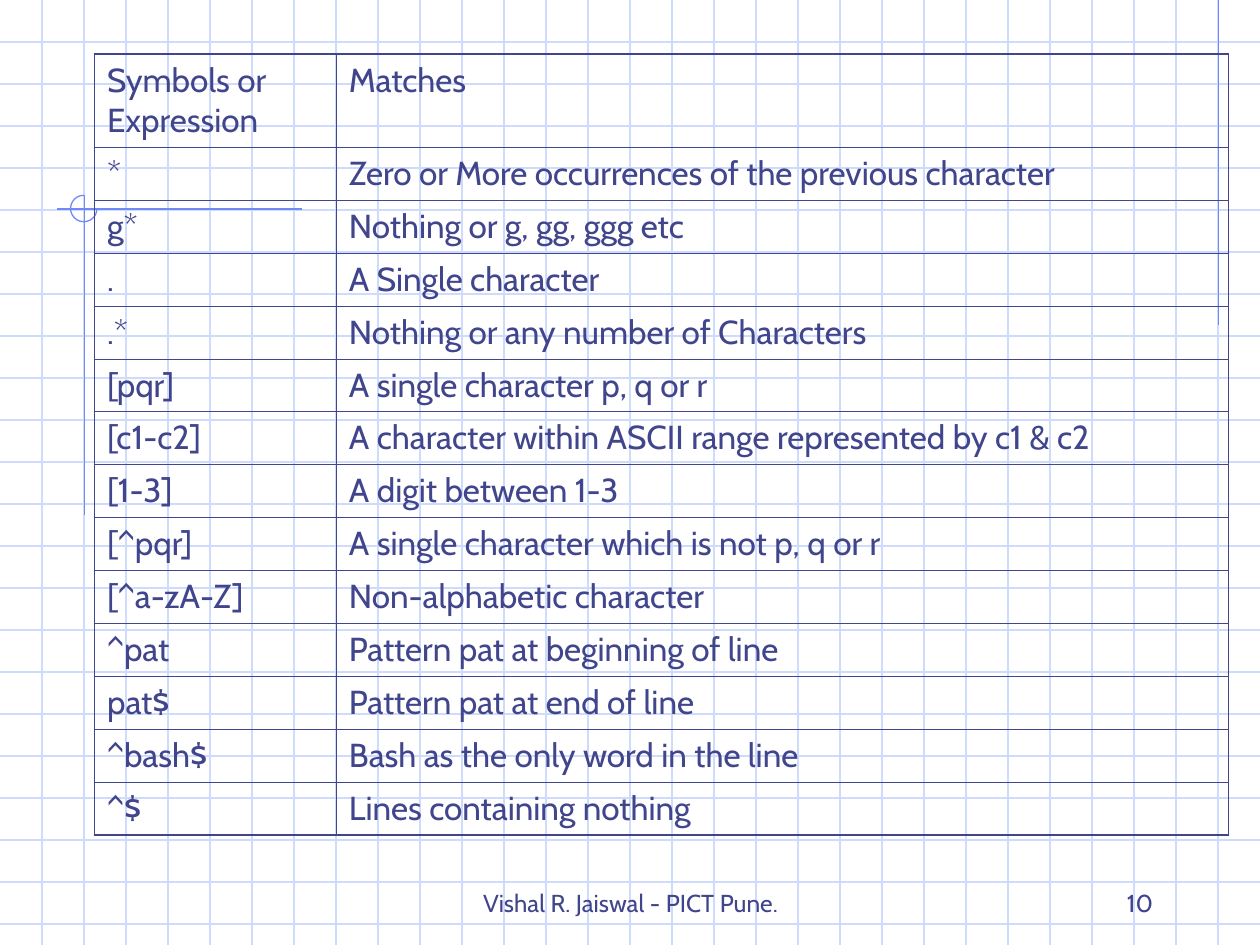
from dataclasses import dataclass

from lxml import etree
from pptx import Presentation
from pptx.dml.color import RGBColor
from pptx.enum.shapes import MSO_CONNECTOR, MSO_SHAPE
from pptx.enum.text import MSO_ANCHOR, PP_ALIGN
from pptx.oxml.ns import qn
from pptx.util import Inches, Pt

STRAIGHT = MSO_CONNECTOR.STRAIGHT
ARC = MSO_SHAPE.ARC
BOTTOM = MSO_ANCHOR.BOTTOM
CENTER, RIGHT = PP_ALIGN.CENTER, PP_ALIGN.RIGHT


@dataclass(frozen=True)
class Theme:
    """Colours, font, type sizes and line widths of the slide."""
    ink: str = "40458C"
    grid: str = "CFDBFD"
    accent: str = "6F89F7"
    font: str = "Cabin"
    table_size: float = 19
    footer_size: float = 14
    space_before: float = 4.8
    rule: float = 0.75
    outer_border: float = 1.08
    inner_border: float = 0.45


THEME = Theme()
WIDTH, HEIGHT = 10, 7.5
GRID_STEPS_PER_INCH = 3
COLUMN_WIDTHS = (1.92, 7.08)
HEADER_HEIGHT, ROW_HEIGHT = 0.74, 0.42
PATTERNS = [
    ("Symbols or Expression", "Matches"),
    ("*", "Zero or More occurrences of the previous character"),
    ("g*", "Nothing or g, gg, ggg etc"),
    (".", "A Single character"),
    (".*", "Nothing or any number of Characters"),
    ("[pqr]", "A single character p, q or r"),
    ("[c1-c2]", "A character within ASCII range represented by c1 & c2"),
    ("[1-3]", "A digit between 1-3"),
    ("[^pqr]", "A single character which is not p, q or r"),
    ("[^a-zA-Z]", "Non-alphabetic character"),
    ("^pat", "Pattern pat at beginning of line"),
    ("pat$", "Pattern pat at end of line"),
    ("^bash$", "Bash as the only word in the line"),
    ("^$", "Lines containing nothing"),
]


def add_rule(slide, x1, y1, x2, y2, color):
    """Draw a thin straight line without a shadow."""
    rule = slide.shapes.add_connector(
        STRAIGHT, Inches(x1), Inches(y1), Inches(x2), Inches(y2))
    rule.line.color.rgb = RGBColor.from_string(color)
    rule.line.width = Pt(THEME.rule)
    etree.SubElement(rule._element.spPr, qn("a:effectLst"))


def add_graph_paper(slide):
    """Cover the slide with evenly spaced grid lines."""
    for step in range(1, int(HEIGHT * GRID_STEPS_PER_INCH) + 1):
        y = step / GRID_STEPS_PER_INCH
        add_rule(slide, 0, y, WIDTH, y, THEME.grid)
    for step in range(1, WIDTH * GRID_STEPS_PER_INCH):
        x = step / GRID_STEPS_PER_INCH
        add_rule(slide, x, 0, x, HEIGHT, THEME.grid)


def add_drafting_marks(slide):
    """Draw the accent lines and the open circle where two of them cross."""
    add_rule(slide, 9.67, 0, 9.67, 2.58, THEME.accent)
    add_rule(slide, 2.4, 1.66, 0.45, 1.66, THEME.accent)
    add_rule(slide, 0.67, 1.55, 0.67, 4.09, THEME.accent)
    circle = slide.shapes.add_shape(
        ARC, Inches(0.56), Inches(1.55), Inches(0.21), Inches(0.21))
    circle.adjustments[0] = 0
    circle.adjustments[1] = 162
    circle.shadow.inherit = False
    circle.fill.background()
    circle.line.color.rgb = RGBColor.from_string(THEME.accent)
    circle.line.width = Pt(THEME.rule)


def style_text(paragraph, size):
    """Give every run of a paragraph the slide's font and ink colour."""
    for run in paragraph.runs:
        run.font.name = THEME.font
        run.font.size = Pt(size)
        run.font.color.rgb = RGBColor.from_string(THEME.ink)


def add_footer(slide, text, left, width, alignment):
    """Add one footer text at the bottom of the slide."""
    footer = slide.shapes.add_textbox(
        Inches(left), Inches(6.83), Inches(width), Inches(0.5))
    frame = footer.text_frame
    frame.word_wrap = True
    frame.vertical_anchor = BOTTOM
    frame.text = text
    frame.paragraphs[0].alignment = alignment
    style_text(frame.paragraphs[0], THEME.footer_size)


def set_borders(cell, outer_sides):
    """Draw all four cell borders, heavier on the table's outer sides."""
    properties = cell._tc.get_or_add_tcPr()
    for position, side in enumerate("LRTB"):
        width = THEME.outer_border if side in outer_sides else THEME.inner_border
        border = etree.Element(qn(f"a:ln{side}"), w=str(int(Pt(width))))
        fill = etree.SubElement(border, qn("a:solidFill"))
        etree.SubElement(fill, qn("a:srgbClr"), val=THEME.ink)
        properties.insert(position, border)


def add_pattern_table(slide):
    """Add the table of expressions and what they match."""
    last_row, last_column = len(PATTERNS) - 1, len(COLUMN_WIDTHS) - 1
    table = slide.shapes.add_table(
        len(PATTERNS), len(COLUMN_WIDTHS), Inches(0.75), Inches(0.43),
        Inches(sum(COLUMN_WIDTHS)),
        Inches(HEADER_HEIGHT + last_row * ROW_HEIGHT)).table
    table.first_row = False
    table.horz_banding = False
    for column, width in zip(table.columns, COLUMN_WIDTHS):
        column.width = Inches(width)
    for r, texts in enumerate(PATTERNS):
        table.rows[r].height = Inches(ROW_HEIGHT if r else HEADER_HEIGHT)
        for c, text in enumerate(texts):
            cell = table.cell(r, c)
            cell.fill.background()
            cell.text_frame.text = text
            paragraph = cell.text_frame.paragraphs[0]
            paragraph.space_before = Pt(THEME.space_before)
            style_text(paragraph, THEME.table_size)
            edges = {"L": c == 0, "R": c == last_column,
                     "T": r == 0, "B": r == last_row}
            set_borders(cell, [side for side, outer in edges.items() if outer])


def main():
    """Build and save the slide."""
    deck = Presentation()
    deck.slide_width, deck.slide_height = Inches(WIDTH), Inches(HEIGHT)
    slide = deck.slides.add_slide(deck.slide_layouts[6])
    add_graph_paper(slide)
    add_drafting_marks(slide)
    add_footer(slide, "Vishal R. Jaiswal - PICT Pune.", 3.42, 3.17, CENTER)
    add_footer(slide, "10", 7.17, 2.08, RIGHT)
    add_pattern_table(slide)
    deck.save("out.pptx")


if __name__ == "__main__":
    main()
